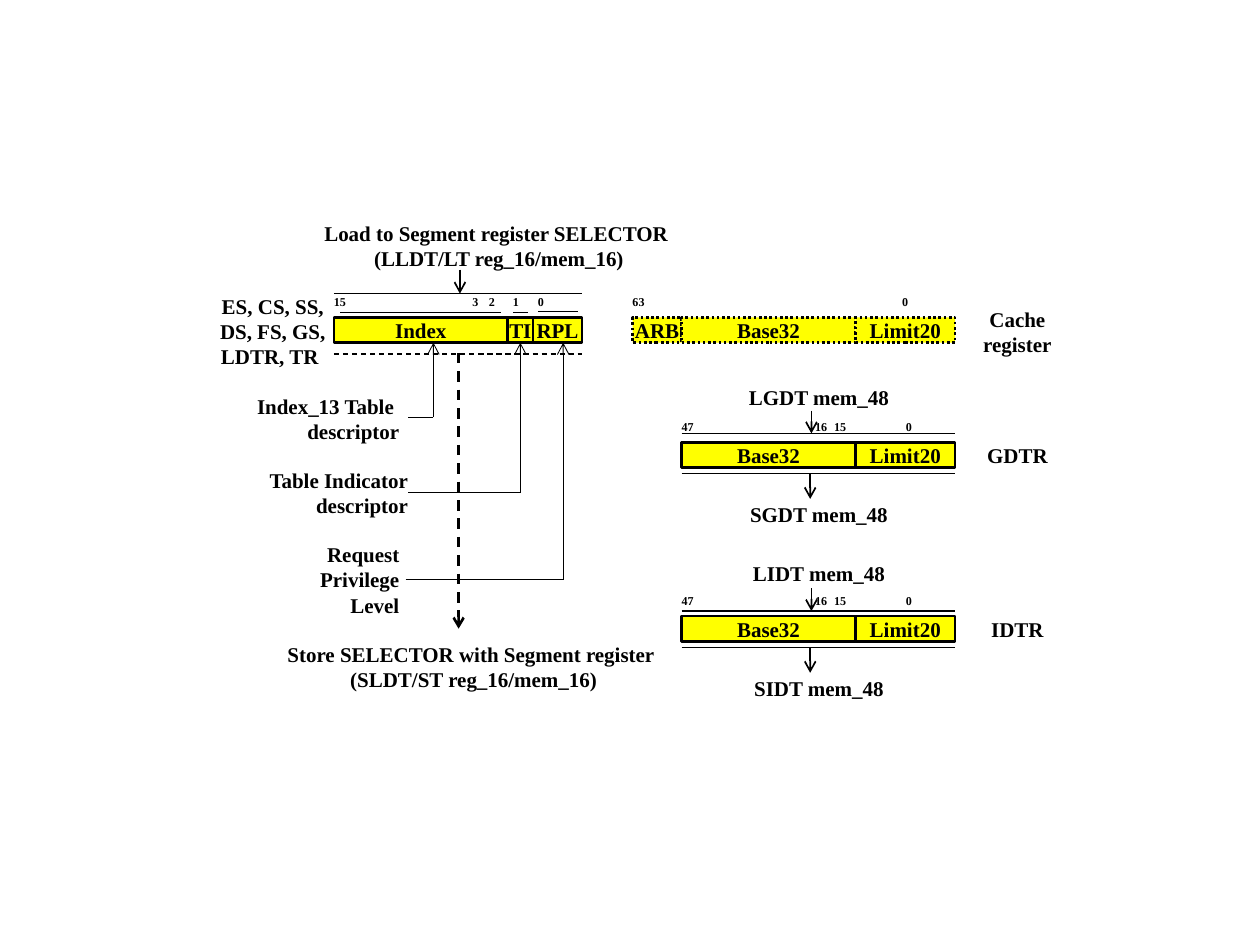
from lxml import etree
from pptx import Presentation
from pptx.dml.color import RGBColor
from pptx.enum.dml import MSO_LINE
from pptx.enum.shapes import MSO_CONNECTOR, MSO_SHAPE
from pptx.enum.text import MSO_ANCHOR, PP_ALIGN
from pptx.oxml.ns import qn
from pptx.util import Inches, Pt

RECTANGLE, STRAIGHT = MSO_SHAPE.RECTANGLE, MSO_CONNECTOR.STRAIGHT
TOP = MSO_ANCHOR.TOP
LEFT, CENTER, RIGHT = PP_ALIGN.LEFT, PP_ALIGN.CENTER, PP_ALIGN.RIGHT
DOTTED, DASHED = MSO_LINE.ROUND_DOT, MSO_LINE.DASH
BOTTOM_SIDE, RIGHT_SIDE = 2, 3

THEME = {
    "font": "Times New Roman",
    "size": Pt(12),
    "ink": RGBColor(0, 0, 0),
    "paper": RGBColor(255, 255, 255),
    "cell": RGBColor(255, 255, 0),
    "raised": "30000",
}
HAIR, THIN, MEDIUM, THICK = 0.5, 0.75, 1, 1.5
ROW = 0.2

BASE_LIMIT = [("Base32", 1.38), ("Limit20", 0.79)]
TABLE_BITS = [("47", 0), ("16", 1.06), ("15", 1.21), ("0", 1.78)]
REGISTERS = [
    {"left": 2.65, "top": 2.52, "dash": None,
     "cells": [("Index", 1.38), ("TI", 0.2), ("RPL", 0.39)],
     "bits": [("15", 0), ("3", 1.1), ("2", 1.23), ("1", 1.42), ("0", 1.62)]},
    {"left": 5.02, "top": 2.52, "dash": DOTTED,
     "cells": [("ARB", 0.39)] + BASE_LIMIT, "bits": [("63", 0), ("0", 2.14)]},
    {"left": 5.41, "top": 3.51, "dash": None, "cells": BASE_LIMIT, "bits": TABLE_BITS},
    {"left": 5.41, "top": 4.89, "dash": None, "cells": BASE_LIMIT, "bits": TABLE_BITS},
]
LABELS = [
    (["ES, CS, SS,", "DS, FS, GS,", "LDTR, TR"], 1.67, 2.33, 0.99, CENTER),
    (["Load to Segment register SELECTOR", " (LLDT/LT reg_16/mem_16)"], 2.46, 1.75, 2.96, CENTER),
    (["Store SELECTOR with Segment register", " (SLDT/ST reg_16/mem_16)"], 2.26, 5.09, 2.96, CENTER),
    (["Cache", "register"], 7.78, 2.43, 0.59, CENTER),
]
POINTERS = [
    (["Index_13 Table ", "descriptor"], 1.99, 3.12, 1.18, 3.24, 3.44, 3.31),
    (["Table Indicator", "descriptor"], 2.06, 3.71, 1.18, 3.24, 4.13, 3.91),
    (["Request", "Privilege", "Level"], 2.38, 4.3, 0.79, 3.22, 4.47, 4.6),
]
TABLES = [
    {"name": "GDTR", "load": "LGDT mem_48", "store": "SGDT mem_48",
     "load_top": 3.05, "rail": 3.44, "top": 3.51},
    {"name": "IDTR", "load": "LIDT mem_48", "store": "SIDT mem_48",
     "load_top": 4.45, "rail": 4.85, "top": 4.89},
]
FIELD_RULES = [(2.7, 3.98, 2.48), (4.07, 4.19, 2.48), (4.27, 4.59, 2.47)]
SELECTOR_SPAN, TABLE_SPAN = (2.65, 4.62), (5.41, 7.58)

deck = Presentation()
deck.slide_width, deck.slide_height = Inches(10), Inches(7.5)
page = deck.slides.add_slide(deck.slide_layouts[6])


def add_box(lines, left, top, width, align=CENTER, fill="paper"):
    box = page.shapes.add_shape(
        RECTANGLE, Inches(left), Inches(top), Inches(width), Inches(ROW * len(lines)))
    box.shadow.inherit = False
    box.fill.solid()
    box.fill.fore_color.rgb = THEME[fill]
    box.line.fill.background()
    frame = box.text_frame
    frame.word_wrap = True
    frame.vertical_anchor = TOP
    frame.margin_left = frame.margin_right = frame.margin_top = frame.margin_bottom = 0
    frame.text = "\n".join(lines)
    for para in frame.paragraphs:
        para.alignment = align
        for span in para.runs:
            span.font.name, span.font.size = THEME["font"], THEME["size"]
            span.font.bold = True
            span.font.color.rgb = THEME["ink"]
    return box


def add_line(start, end, weight, dash=None, arrow=False):
    line = page.shapes.add_connector(STRAIGHT, *(Inches(value) for value in start + end))
    line.line.color.rgb = THEME["ink"]
    line.line.width = Pt(weight)
    if dash:
        line.line.dash_style = dash
    if arrow:
        etree.SubElement(line.line._get_or_add_ln(), qn("a:tailEnd"), type="arrow")
    etree.SubElement(line._element.spPr, qn("a:effectLst"))
    return line


def add_bits(bits, left, top, width):
    box = add_box(["\t".join(bit for bit, _ in bits)], left, top, width, LEFT)
    para = box.text_frame.paragraphs[0]
    tabs = etree.SubElement(para._p.get_or_add_pPr(), qn("a:tabLst"))
    for _, offset in bits[1:]:
        etree.SubElement(tabs, qn("a:tab"), pos=str(Inches(offset)), algn="l")
    for span in para.runs:
        span._r.get_or_add_rPr().set("baseline", THEME["raised"])


def add_register(left, top, dash, cells, bits):
    add_bits(bits, left, top - ROW, sum(width for _, width in cells))
    boxes = {}
    for name, width in cells:
        box = add_box([name], left, top, width, fill="cell")
        box.line.color.rgb = THEME["ink"]
        box.line.width = Pt(THICK)
        if dash:
            box.line.dash_style = dash
        boxes[name] = box
        left += width
    return boxes


def add_rail(span, y, dash=None):
    add_line((span[0], y), (span[1], y), THIN, dash)


label_boxes = [add_box(*label) for label in LABELS]
last_line = label_boxes[0].text_frame.paragraphs[-1]
last_line.alignment = LEFT
last_line._p.get_or_add_pPr().set("marL", str(Pt(6)))

selector, *_ = [add_register(**register) for register in REGISTERS]

for lines, left, top, width, start_x, x, y in POINTERS:
    label = add_box(lines, left, top, width, RIGHT)
    branch = add_line((start_x, y), (x, y), HAIR)
    pointer = add_line((x, y), (x, 2.72), HAIR, arrow=True)
    if lines[0] == "Table Indicator":
        branch.begin_connect(label, RIGHT_SIDE)
        pointer.end_connect(selector["TI"], BOTTOM_SIDE)

for start_x, end_x, y in FIELD_RULES:
    add_rail((start_x, end_x), y)
add_rail(SELECTOR_SPAN, 2.33)
add_rail(SELECTOR_SPAN, 2.81, DASHED)
add_line((3.65, 2.14), (3.65, 2.33), MEDIUM, arrow=True)
add_line((3.64, 2.8), (3.64, 4.99), THICK, DASHED, arrow=True)

for table in TABLES:
    top, rail = table["top"], table["rail"]
    store_rail = top + 0.25
    add_box([table["load"]], 5.81, table["load_top"], 1.38)
    add_box([table["store"]], 5.81, top + 0.47, 1.38)
    add_box([table["name"]], 7.78, top, 0.59)
    add_rail(TABLE_SPAN, rail)
    add_rail(TABLE_SPAN, store_rail)
    add_line((6.44, rail - 0.18), (6.44, rail), MEDIUM, arrow=True)
    add_line((6.43, store_rail), (6.43, store_rail + 0.2), MEDIUM, arrow=True)

deck.save("out.pptx")
